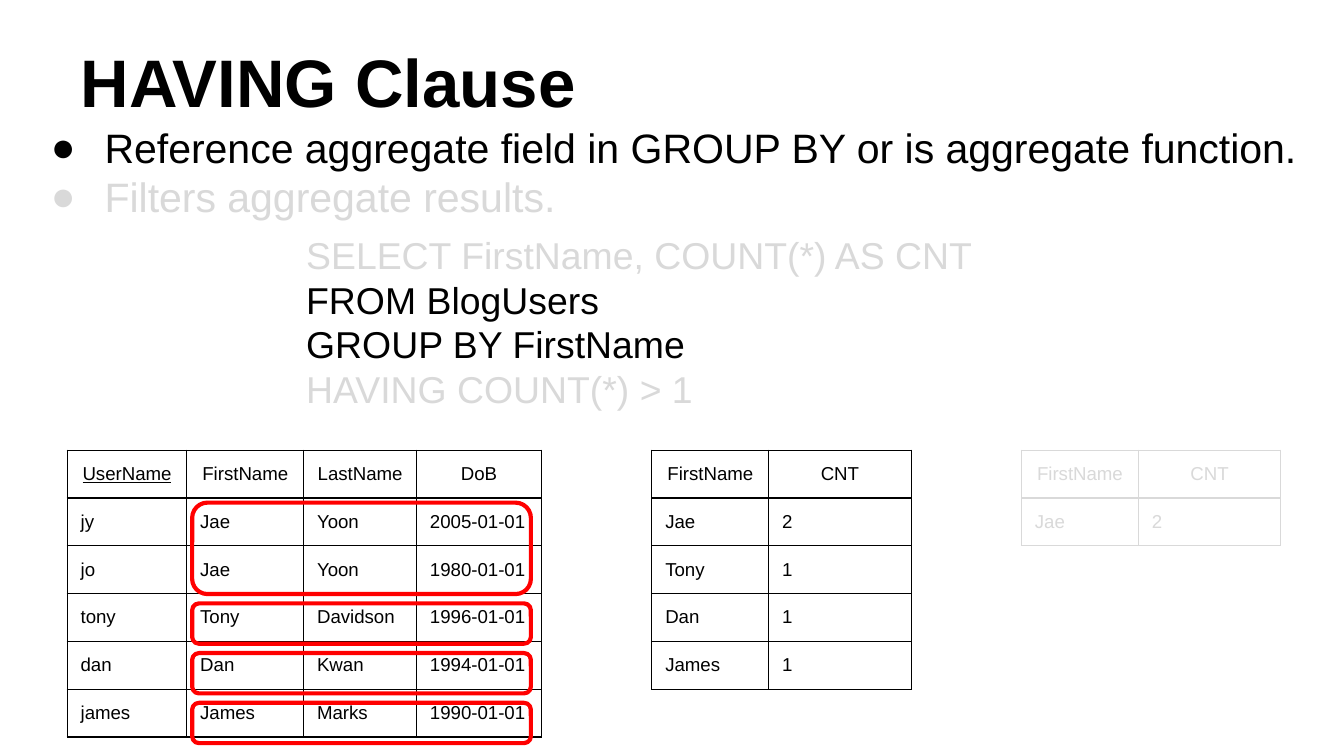
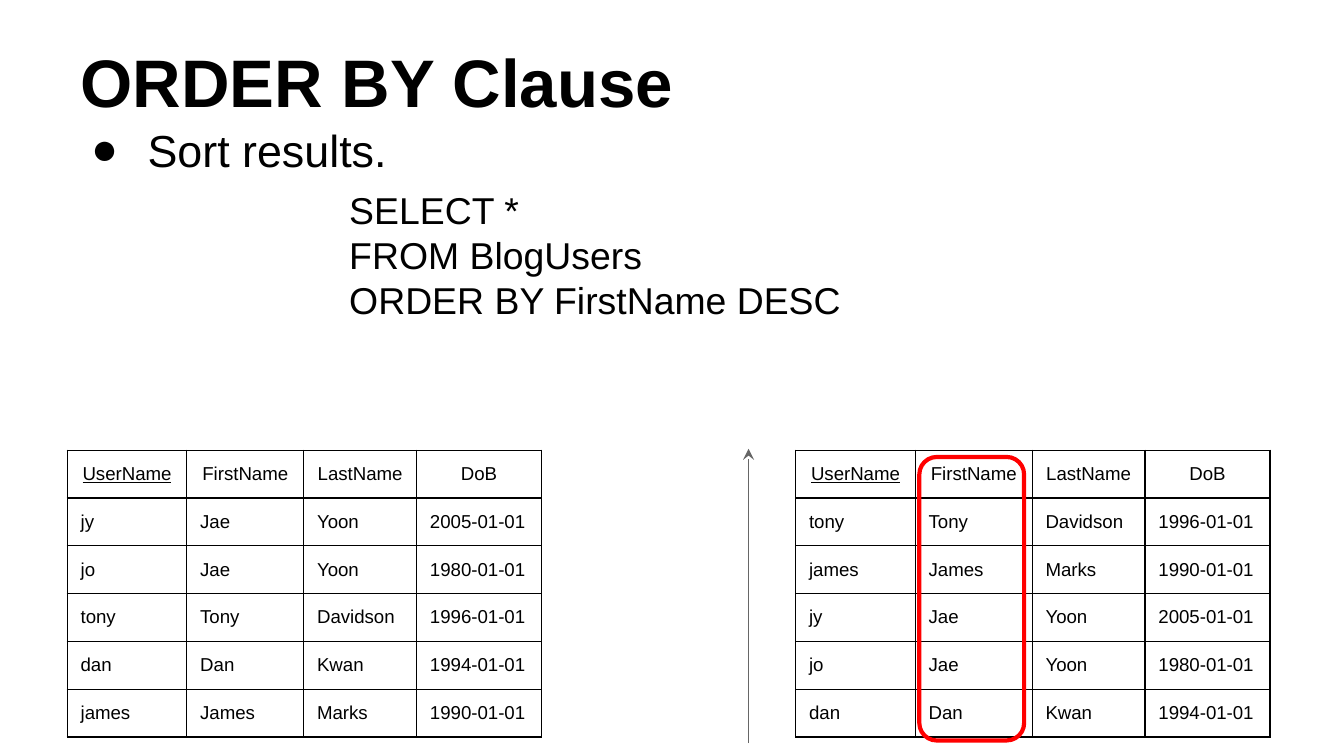
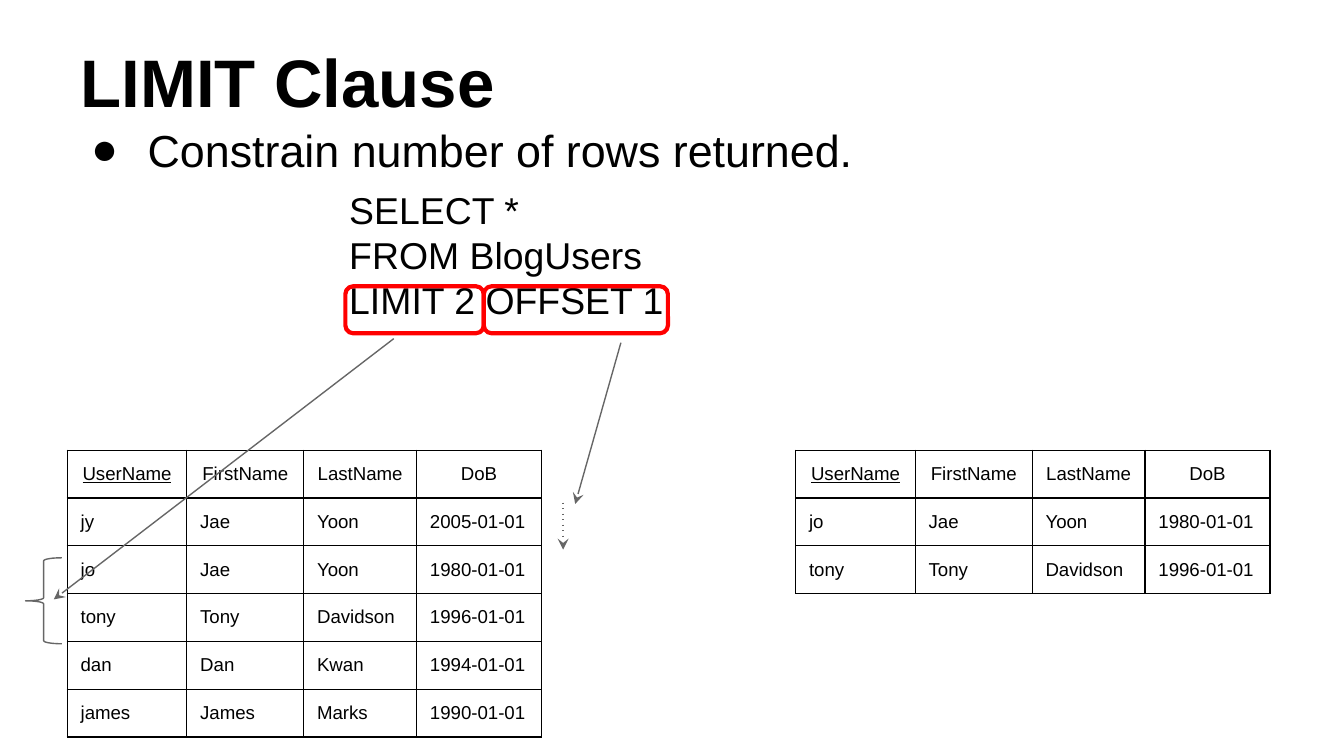
from dataclasses import dataclass

from lxml import etree
from pptx import Presentation
from pptx.dml.color import RGBColor
from pptx.enum.shapes import MSO_CONNECTOR, MSO_SHAPE
from pptx.enum.text import MSO_ANCHOR, MSO_AUTO_SIZE, PP_ALIGN
from pptx.oxml.ns import qn
from pptx.util import Inches, Pt

ROUNDED = MSO_SHAPE.ROUNDED_RECTANGLE
BRACE = MSO_SHAPE.RIGHT_BRACE
STRAIGHT = MSO_CONNECTOR.STRAIGHT
LEFT = PP_ALIGN.LEFT
CENTER = PP_ALIGN.CENTER
BOTTOM = MSO_ANCHOR.BOTTOM
TOP = MSO_ANCHOR.TOP
NO_AUTOFIT = MSO_AUTO_SIZE.NONE

FONT = "Arial"
COLORS = {"ink": "000000", "faded": "D9D9D9", "mark": "FF0000", "arrow": "666666"}
TITLE_ONLY = 5
SLIDE_WIDTH = 10
SLIDE_HEIGHT = SLIDE_WIDTH * 9 / 16
INSET = Inches(0.1)
TABLE_TOP = 3.35
ROW_HEIGHT = 0.23
SOURCE_LEFT = 0.5
RESULT_LEFT = 5.92
BORDER_SIDES = ("a:lnL", "a:lnR", "a:lnT", "a:lnB")

USER_HEADER = ("UserName", "FirstName", "LastName", "DoB")
USER_WIDTHS = (0.89, 0.87, 0.84, 0.93)
COUNT_HEADER = ("FirstName", "CNT")
COUNT_WIDTHS = (0.87, 1.06)
USERS = {
    "jy": ("Jae", "Yoon", "2005-01-01"),
    "jo": ("Jae", "Yoon", "1980-01-01"),
    "tony": ("Tony", "Davidson", "1996-01-01"),
    "dan": ("Dan", "Kwan", "1994-01-01"),
    "james": ("James", "Marks", "1990-01-01"),
}


@dataclass(frozen=True)
class Line:
    text: str
    color: str = "ink"


@dataclass(frozen=True)
class Body:
    left: float
    width: float
    height: float
    bullets: tuple[Line, ...]
    bullet_size: int
    hanging: float
    query: tuple[Line, ...]


@dataclass(frozen=True)
class Grid:
    left: float
    widths: tuple[float, ...]
    rows: tuple[tuple[str, ...], ...]
    color: str = "ink"


@dataclass(frozen=True)
class Mark:
    left: float
    top: float
    width: float
    height: float


@dataclass(frozen=True)
class Arrow:
    start: tuple[float, float]
    end: tuple[float, float]
    dotted: bool = False


@dataclass(frozen=True)
class ClauseSlide:
    title: str
    body: Body
    grids: tuple[Grid, ...]
    marks: tuple[Mark, ...]
    arrows: tuple[Arrow, ...] = ()
    brace: Mark | None = None


def rgb(name: str) -> RGBColor:
    return RGBColor.from_string(COLORS[name])


def user_grid(left: float, names: tuple[str, ...]) -> Grid:
    rows = (USER_HEADER, *((name, *USERS[name]) for name in names))
    return Grid(left, USER_WIDTHS, rows)


def count_grid(left: float, counts: tuple[tuple[str, str], ...], color: str = "ink") -> Grid:
    return Grid(left, COUNT_WIDTHS, (COUNT_HEADER, *counts), color)


def simple_body(bullet: str, height: float, last_line: str) -> Body:
    query = (Line("SELECT *"), Line("FROM BlogUsers"), Line(last_line))
    return Body(0.5, 9.42, height, (Line(bullet),), 24, 0.42, query)


def style_font(paragraph, size: int, color: str, bold: bool = False) -> None:
    font = paragraph.font
    font.name, font.size, font.bold = FONT, Pt(size), bold
    font.color.rgb = rgb(color)


def prepare_frame(frame, anchor) -> None:
    frame.word_wrap = True
    frame.auto_size = NO_AUTOFIT
    frame.vertical_anchor = anchor
    frame.margin_left = frame.margin_right = INSET
    frame.margin_top = frame.margin_bottom = INSET


def place_title(slide, text: str) -> None:
    title = slide.shapes.title
    title.left, title.top = Inches(0.5), Inches(0.06)
    title.width, title.height = Inches(9), Inches(0.94)
    prepare_frame(title.text_frame, BOTTOM)
    paragraph = title.text_frame.paragraphs[0]
    paragraph.text = text
    paragraph.alignment = LEFT
    style_font(paragraph, 36, "ink", bold=True)


def indent(paragraph, margin: float, first_line: float) -> None:
    properties = paragraph._p.get_or_add_pPr()
    properties.set("marL", str(Inches(margin)))
    properties.set("indent", str(Inches(first_line)))


def add_bullet(paragraph, color: str) -> None:
    properties = paragraph._p.get_or_add_pPr()
    bullet_color = etree.SubElement(properties, qn("a:buClr"))
    etree.SubElement(bullet_color, qn("a:srgbClr"), val=COLORS[color])
    etree.SubElement(properties, qn("a:buFont"), typeface=FONT)
    etree.SubElement(properties, qn("a:buChar"), char="●")


def add_query(paragraph, query: tuple[Line, ...]) -> None:
    indent(paragraph, 2, 0)
    paragraph.space_before = Pt(6)
    style_font(paragraph, 20, "ink")
    for index, line in enumerate(query):
        if index:
            paragraph.add_line_break()
        run = paragraph.add_run()
        run.text = line.text
        if line.color != "ink":
            run.font.color.rgb = rgb(line.color)


def add_body(slide, body: Body) -> None:
    box = slide.shapes.add_textbox(
        Inches(body.left), Inches(0.81), Inches(body.width), Inches(body.height)
    )
    frame = box.text_frame
    prepare_frame(frame, TOP)
    for index, line in enumerate(body.bullets):
        paragraph = frame.add_paragraph() if index else frame.paragraphs[0]
        paragraph.text = line.text
        indent(paragraph, 0.5, -body.hanging)
        add_bullet(paragraph, line.color)
        paragraph.space_before = Pt(0 if index else 6)
        style_font(paragraph, body.bullet_size, line.color)
    add_query(frame.add_paragraph(), body.query)


def add_borders(cell, color: str) -> None:
    properties = cell._tc.get_or_add_tcPr()
    for side in BORDER_SIDES:
        border = etree.SubElement(properties, qn(side), w=str(Pt(0.75)))
        fill = etree.SubElement(border, qn("a:solidFill"))
        etree.SubElement(fill, qn("a:srgbClr"), val=COLORS[color])


def fill_cell(cell, text: str, color: str, is_header: bool) -> None:
    cell.margin_left = cell.margin_right = INSET
    cell.margin_top = cell.margin_bottom = INSET
    add_borders(cell, color)
    cell.fill.background()
    paragraph = cell.text_frame.paragraphs[0]
    paragraph.text = text
    paragraph.alignment = CENTER if is_header else LEFT
    style_font(paragraph, 10, color)
    paragraph.font.underline = text == "UserName"


def add_grid(slide, grid: Grid) -> None:
    table = slide.shapes.add_table(
        len(grid.rows), len(grid.widths), Inches(grid.left), Inches(TABLE_TOP),
        Inches(sum(grid.widths)), Inches(ROW_HEIGHT * len(grid.rows)),
    ).table
    table.first_row = table.horz_banding = False
    for column, width in zip(table.columns, grid.widths):
        column.width = Inches(width)
    for row_index, row in enumerate(grid.rows):
        table.rows[row_index].height = Inches(ROW_HEIGHT)
        for column_index, text in enumerate(row):
            fill_cell(table.cell(row_index, column_index), text, grid.color, row_index == 0)


def add_outline(slide, kind, mark: Mark, color: str, width: float):
    shape = slide.shapes.add_shape(
        kind, Inches(mark.left), Inches(mark.top), Inches(mark.width), Inches(mark.height)
    )
    shape.shadow.inherit = False
    shape.fill.background()
    shape.line.color.rgb = rgb(color)
    shape.line.width = Pt(width)
    return shape


def add_arrow(slide, arrow: Arrow) -> None:
    points = (Inches(value) for value in (*arrow.start, *arrow.end))
    connector = slide.shapes.add_connector(STRAIGHT, *points)
    connector.line.color.rgb = rgb("arrow")
    connector.line.width = Pt(0.75)
    outline = connector.line._get_or_add_ln()
    if arrow.dotted:
        etree.SubElement(outline, qn("a:prstDash"), val="dot")
    etree.SubElement(outline, qn("a:tailEnd"), type="stealth")
    etree.SubElement(connector._element.spPr, qn("a:effectLst"))


def add_clause_slide(presentation, clause: ClauseSlide) -> None:
    slide = presentation.slides.add_slide(presentation.slide_layouts[TITLE_ONLY])
    place_title(slide, clause.title)
    add_body(slide, clause.body)
    for grid in clause.grids:
        add_grid(slide, grid)
    if clause.brace:
        brace = add_outline(slide, BRACE, clause.brace, "arrow", 0.75)
        brace.rotation = 180
    for arrow in clause.arrows:
        add_arrow(slide, arrow)
    for mark in clause.marks:
        add_outline(slide, ROUNDED, mark, "mark", 2.25)


ALL_USERS = user_grid(SOURCE_LEFT, tuple(USERS))

CLAUSES = (
    ClauseSlide(
        "HAVING Clause",
        Body(
            0.18, 9.74, 4.7,
            (
                Line("Reference aggregate field in GROUP BY or is aggregate function."),
                Line("Filters aggregate results.", "faded"),
            ),
            22, 0.4,
            (
                Line("SELECT FirstName, COUNT(*) AS CNT", "faded"),
                Line("FROM BlogUsers"),
                Line("GROUP BY FirstName"),
                Line("HAVING COUNT(*) > 1", "faded"),
            ),
        ),
        (
            ALL_USERS,
            count_grid(4.85, (("Jae", "2"), ("Tony", "1"), ("Dan", "1"), ("James", "1"))),
            count_grid(7.6, (("Jae", "2"),), "faded"),
        ),
        (
            Mark(1.43, 3.74, 2.52, 0.68),
            *(Mark(1.43, 4.49 + 0.37 * index, 2.52, 0.3) for index in range(3)),
        ),
    ),
    ClauseSlide(
        "ORDER BY Clause",
        simple_body("Sort results.", 4.81, "ORDER BY FirstName DESC"),
        (ALL_USERS, user_grid(RESULT_LEFT, ("tony", "james", "jy", "jo", "dan"))),
        (Mark(6.84, 3.4, 0.78, 2.11),),
        (Arrow((5.57, 5.53), (5.57, 3.34)),),
    ),
    ClauseSlide(
        "LIMIT Clause",
        simple_body("Constrain number of rows returned.", 4.74, "LIMIT 2 OFFSET 1"),
        (ALL_USERS, user_grid(RESULT_LEFT, ("jo", "tony"))),
        (Mark(2.57, 2.13, 1.03, 0.35), Mark(3.6, 2.13, 1.37, 0.35)),
        (
            Arrow((4.19, 3.74), (4.19, 4.09), dotted=True),
            Arrow((4.62, 2.55), (4.28, 3.75)),
            Arrow((2.93, 2.52), (0.4, 4.46)),
        ),
        Mark(0.19, 4.15, 0.27, 0.64),
    ),
)


def main() -> None:
    presentation = Presentation()
    presentation.slide_width = Inches(SLIDE_WIDTH)
    presentation.slide_height = Inches(SLIDE_HEIGHT)
    for clause in CLAUSES:
        add_clause_slide(presentation, clause)
    presentation.save("out.pptx")


if __name__ == "__main__":
    main()
